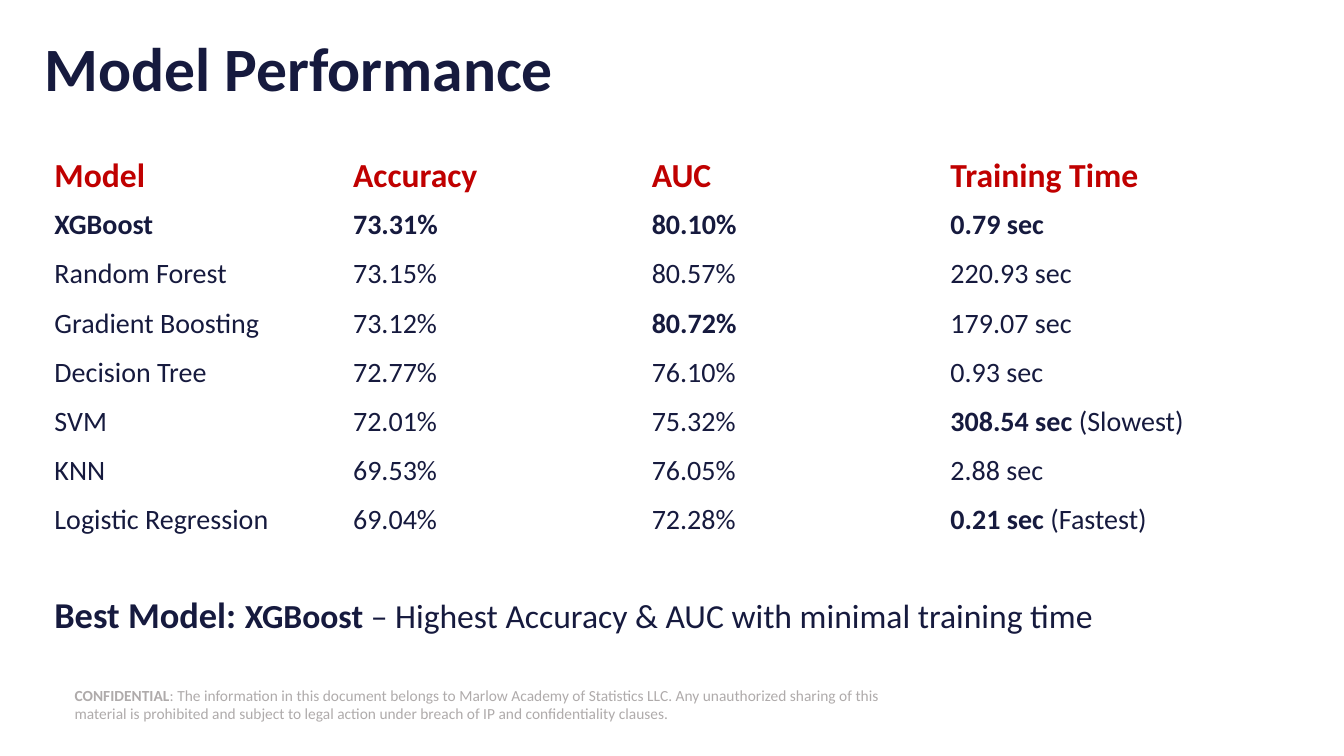
from pptx import Presentation
from pptx.dml.color import RGBColor
from pptx.enum.shapes import MSO_SHAPE
from pptx.enum.text import MSO_ANCHOR, PP_ALIGN
from pptx.util import Inches, Pt

RECT = MSO_SHAPE.RECTANGLE
TOP, MIDDLE = MSO_ANCHOR.TOP, MSO_ANCHOR.MIDDLE
LEFT = PP_ALIGN.LEFT

COLORS = {"navy": "161A3E", "red": "C00000", "gray": "AFABAB", "white": "FFFFFF"}
FONT = "Calibri"
MARGIN, CONTENT_WIDTH = 0.44, 11.85

HEADERS = ["Model", "Accuracy", "AUC", "Training Time"]
RESULTS = [
    ["*XGBoost*", "*73.31%*", "*80.10%*", "*0.79 sec*"],
    ["Random Forest", "73.15%", "80.57%", "220.93 sec"],
    ["Gradient Boosting", "73.12%", "*80.72%*", "179.07 sec"],
    ["Decision Tree", "72.77%", "76.10%", "0.93 sec"],
    ["SVM", "72.01%", "75.32%", "*308.54 sec* (Slowest)"],
    ["KNN", "69.53%", "76.05%", "2.88 sec"],
    ["Logistic Regression", "69.04%", "72.28%", "*0.21 sec* (Fastest)"],
]


def rgb(name):
    return RGBColor.from_string(COLORS[name])


def write(p, text, size=20, color="navy"):
    """Add text to a paragraph; parts between asterisks are bold."""
    p.alignment = LEFT
    for i, part in enumerate(text.split("*")):
        if part:
            r = p.add_run()
            r.text = part
            r.font.name = FONT
            r.font.size = Pt(size)
            r.font.bold = i % 2 == 1
            r.font.color.rgb = rgb(color)


class SlideBuilder:
    def __init__(self, prs):
        self.s = prs.slides.add_slide(prs.slide_layouts[6])
        self.s.background.fill.solid()
        self.s.background.fill.fore_color.rgb = rgb("white")

    def frame(self, sp, anchor, inset):
        tf = sp.text_frame
        tf.word_wrap = True
        tf.vertical_anchor = anchor
        if not inset:
            tf.margin_left = tf.margin_right = tf.margin_top = tf.margin_bottom = 0
        return tf.paragraphs[0]

    def text(self, x, y, w, h, anchor=TOP, inset=True):
        sp = self.s.shapes.add_textbox(Inches(x), Inches(y), Inches(w), Inches(h))
        return self.frame(sp, anchor, inset)

    def panel(self, x, y, w, h, fill):
        sp = self.s.shapes.add_shape(RECT, Inches(x), Inches(y), Inches(w), Inches(h))
        sp.shadow.inherit = False
        sp.fill.solid()
        sp.fill.fore_color.rgb = rgb(fill)
        sp.line.fill.background()
        return self.frame(sp, MIDDLE, False)

    def table(self, x, y, w, h, headers, rows):
        table = self.s.shapes.add_table(
            len(rows) + 1, len(headers), Inches(x), Inches(y), Inches(w), Inches(h)
        ).table
        table.first_row = table.horz_banding = False
        for i, row in enumerate([headers] + rows):
            for j, text in enumerate(row):
                cell = table.cell(i, j)
                cell.fill.background()
                cell.vertical_anchor = MIDDLE
                p = cell.text_frame.paragraphs[0]
                if i == 0:
                    write(p, f"*{text}*", size=24, color="red")
                else:
                    write(p, text)


def main():
    prs = Presentation()
    prs.slide_width, prs.slide_height = Inches(13.33), Inches(7.5)
    slide = SlideBuilder(prs)

    p = slide.panel(0.74, 6.79, 8.17, 0.4, "white")
    write(p, "*CONFIDENTIAL*: The information in this document belongs to "
          "Marlow Academy of Statistics LLC. Any unauthorized sharing of this "
          "material is prohibited and subject to legal action under breach of "
          "IP and confidentiality clauses.", size=11, color="gray")

    p = slide.text(MARGIN, 0.38, CONTENT_WIDTH, 0.67, MIDDLE, inset=False)
    p.line_spacing = 0.9
    write(p, "*Model Performance*", size=44)

    slide.table(MARGIN, 1.49, CONTENT_WIDTH, 3.9, HEADERS, RESULTS)

    p = slide.text(MARGIN, 5.83, CONTENT_WIDTH, 0.54)
    write(p, "*Best Model: *", size=26)
    write(p, "*XGBoost* – Highest Accuracy & AUC with minimal training time", size=24)

    prs.save("out.pptx")


if __name__ == "__main__":
    main()
